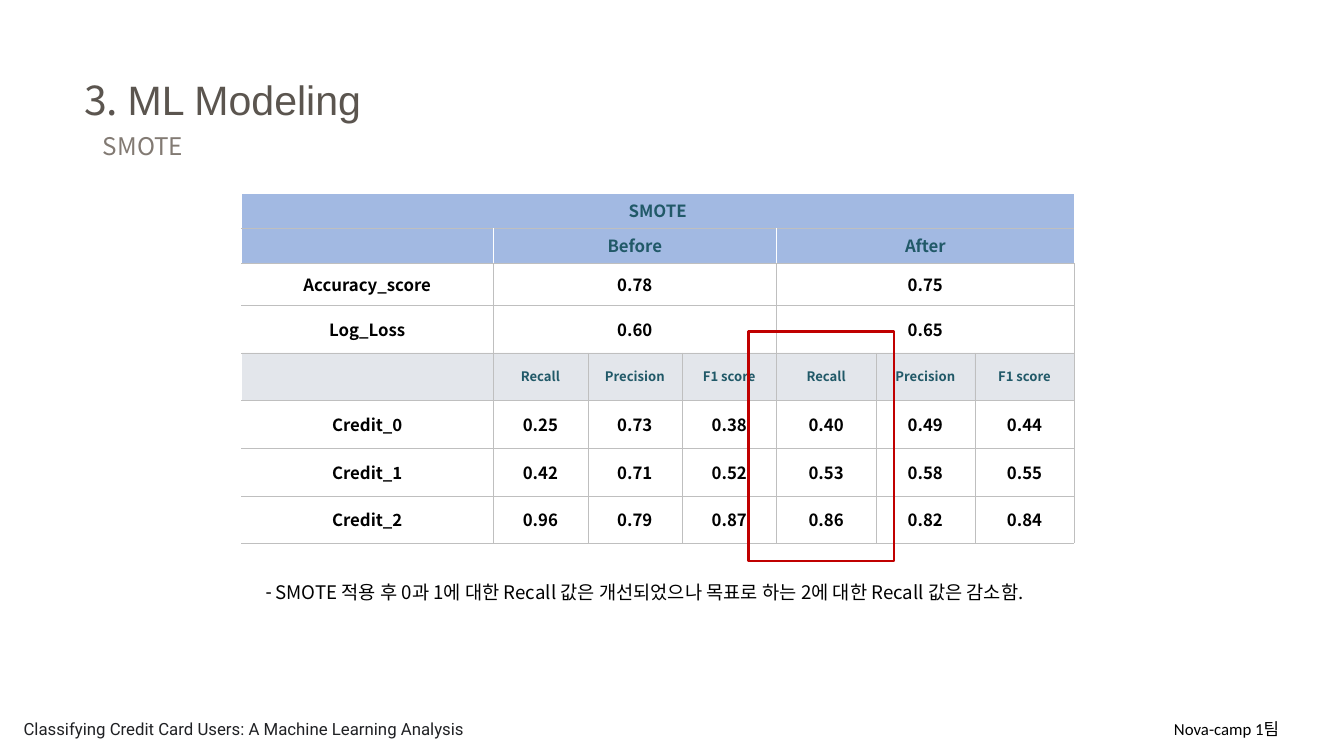
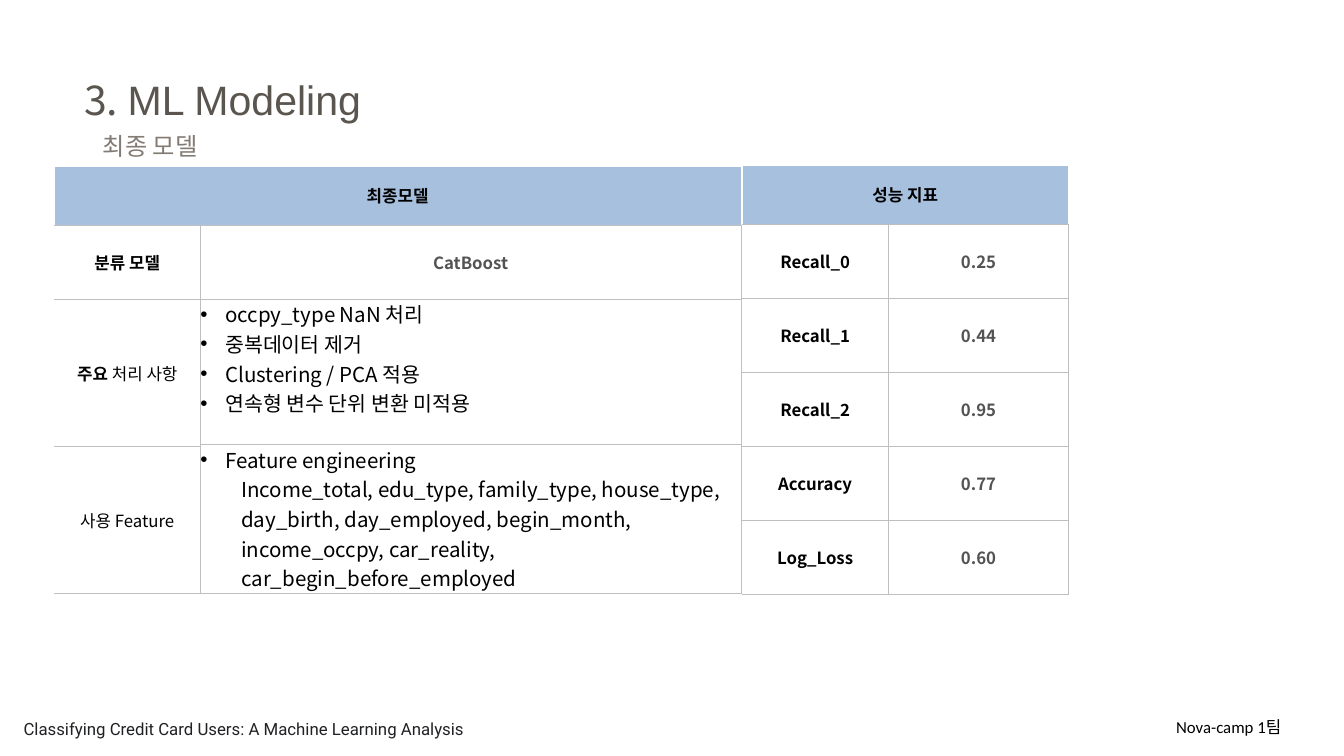
from dataclasses import dataclass

from lxml.etree import SubElement
from pptx import Presentation
from pptx.dml.color import RGBColor
from pptx.enum.shapes import MSO_SHAPE as Preset
from pptx.enum.text import MSO_ANCHOR as Anchor, PP_ALIGN as Align
from pptx.oxml.ns import qn
from pptx.util import Cm, Pt


@dataclass(frozen=True)
class Theme:
    title: str = "5B554F"
    subtitle: str = "827A73"
    footer: str = "202124"
    ink: str = "000000"
    value: str = "535353"
    teal: str = "215968"
    white: str = "FFFFFF"
    grid: str = "BFBFBF"
    score_head: str = "A2B9E2"
    model_head: str = "A7C0DE"
    metric_head: str = "8A96AA"
    highlight: str = "C00000"
    font: str = "Noto Sans CJK KR"
    title_font: str = "Arial"
    footer_font: str = "Roboto"
    team_font: str = "Calibri"
    title_size: int = 44
    subtitle_size: int = 26
    list_size: int = 22
    note_size: int = 20
    body_size: int = 18
    small_size: int = 14
    tint: int = 23


THEME = Theme()


def add_run(paragraph, text, size=THEME.body_size, color=THEME.ink, font=THEME.font, bold=False):
    run = paragraph.add_run()
    run.text = text
    run.font.size = Pt(size)
    run.font.name = font
    run.font.bold = bold
    run.font.color.rgb = RGBColor.from_string(color)
    SubElement(run._r.get_or_add_rPr(), qn("a:ea"), typeface=font)


def set_indent(paragraph, margin, hanging=0, bullet=None):
    properties = paragraph._p.get_or_add_pPr()
    properties.set("marL", str(Cm(margin)))
    properties.set("indent", str(-Cm(hanging)))
    if bullet:
        SubElement(properties, qn("a:buFont"), typeface="Arial")
        SubElement(properties, qn("a:buChar"), char=bullet)


def add_text(slide, left, top, width, height, align=Align.LEFT):
    frame = slide.shapes.add_textbox(Cm(left), Cm(top), Cm(width), Cm(height)).text_frame
    frame.word_wrap = True
    frame.margin_left = frame.margin_right = Cm(0.13)
    frame.margin_top = frame.margin_bottom = Cm(0.13)
    paragraph = frame.paragraphs[0]
    paragraph.alignment = align
    return paragraph


def add_heading(slide, subtitle, left=3.05, top=2.67):
    paragraph = add_text(slide, left, top, 21.82, 2)
    add_run(paragraph, "3. ", THEME.title_size, THEME.title)
    add_run(paragraph, "ML Modeling", THEME.title_size, THEME.title, THEME.title_font)
    paragraph = add_text(slide, left + 0.71, top + 2.18, 12.22, 1.35)
    add_run(paragraph, subtitle, THEME.subtitle_size, THEME.subtitle)


def add_footer(slide, team_left, team_top, left=0.76, top=27.05):
    paragraph = add_text(slide, left, top, 23.16, 1.04)
    add_run(paragraph, "Classifying Credit Card Users: A Machine Learning Analysis",
            color=THEME.footer, font=THEME.footer_font)
    paragraph = add_text(slide, team_left, team_top, 23.16, 1, Align.RIGHT)
    add_run(paragraph, "Nova-camp 1", font=THEME.team_font)
    add_run(paragraph, "팀", font=THEME.footer_font)


def set_border(cell, sides):
    properties = cell._tc.get_or_add_tcPr()
    for position, (side, (color, width)) in enumerate(sides.items()):
        line = properties.makeelement(qn(f"a:ln{side}"), {"w": str(Pt(width))})
        fill = SubElement(line, qn("a:solidFill"))
        SubElement(fill, qn("a:srgbClr"), val=color)
        properties.insert(position, line)


def fill_cell(cell, color, opacity=100):
    cell.fill.solid()
    cell.fill.fore_color.rgb = RGBColor.from_string(color)
    if opacity < 100:
        shade = cell._tc.tcPr.find(qn("a:solidFill")).find(qn("a:srgbClr"))
        SubElement(shade, qn("a:alpha"), val=str(opacity * 1000))


def add_grid(slide, left, top, columns, rows, head_color, head_rows=1, merges=()):
    frame = slide.shapes.add_table(len(rows), len(columns), Cm(left), Cm(top),
                                   Cm(sum(columns)), Cm(sum(rows)))
    table = frame.table
    table.first_row = table.horz_banding = False
    for column, width in zip(table.columns, columns):
        column.width = Cm(width)
    for row, height in zip(table.rows, rows):
        row.height = Cm(height)
    grey, white = (THEME.grid, 0.25), (THEME.white, 0.5)
    for row in range(len(rows)):
        is_head = row < head_rows
        for column in range(len(columns)):
            cell = table.cell(row, column)
            cell.margin_left = cell.margin_right = 0
            cell.margin_top = cell.margin_bottom = 0
            cell.vertical_anchor = Anchor.MIDDLE
            fill_cell(cell, head_color if is_head else THEME.white, 100 if is_head else THEME.tint)
            set_border(cell, {
                "L": white if is_head or column == 0 else grey,
                "R": white if is_head else grey,
                "T": grey if row else white,
                "B": grey,
            })
    for first_row, first_column, last_row, last_column in merges:
        table.cell(first_row, first_column).merge(table.cell(last_row, last_column))
    return table


def write_cell(cell, text, heading=False, bold=True, **style):
    paragraph = cell.text_frame.paragraphs[0]
    paragraph.alignment = Align.CENTER
    if heading:
        paragraph.line_spacing = 0.9
        paragraph.space_before = Pt(4)
    add_run(paragraph, text, bold=bold, **style)
    return paragraph


def add_score_table(slide, left, top):
    pair_starts = (1, 4)
    merges = [(0, 0, 0, 6)] + [(row, start, row, start + 2)
                               for row in (1, 2, 3) for start in pair_starts]
    table = add_grid(slide, left, top, [9.52] + [3.57] * 3 + [3.75] * 3,
                     [1.3, 1.32, 1.6] + [1.8] * 5, THEME.score_head, 2, merges)
    write_cell(table.cell(0, 0), "SMOTE", True, color=THEME.teal)
    for start, name in zip(pair_starts, ("Before", "After")):
        write_cell(table.cell(1, start), name, True, color=THEME.teal)

    overall = (("Accuracy_score", "0.78", "0.75"), ("Log_Loss", "0.60", "0.65"))
    for row, texts in enumerate(overall, 2):
        for column, text in zip((0, *pair_starts), texts):
            write_cell(table.cell(row, column), text)

    for column in range(7):
        fill_cell(table.cell(4, column), THEME.metric_head, THEME.tint)
    for column, metric in enumerate(("Recall", "Precision", "F1 score") * 2, 1):
        write_cell(table.cell(4, column), metric, True, size=THEME.small_size, color=THEME.teal)

    by_class = (
        ("Credit_0", "0.25", "0.73", "0.38", "0.40", "0.49", "0.44"),
        ("Credit_1", "0.42", "0.71", "0.52", "0.53", "0.58", "0.55"),
        ("Credit_2", "0.96", "0.79", "0.87", "0.86", "0.82", "0.84"),
    )
    for row, texts in enumerate(by_class, 5):
        for column, text in enumerate(texts):
            write_cell(table.cell(row, column), text)


def add_note(slide, left, top):
    paragraph = add_text(slide, left, top, 29.9, 1.07)
    set_indent(paragraph, 0.38, 0.38, "-")
    add_run(paragraph, "SMOTE 적용 후 0과 1에 대한 Recall 값은 개선되었으나 "
            "목표로 하는 2에 대한 Recall 값은 감소함.", THEME.note_size)


def add_highlight(slide, left, top, width, height):
    shape = slide.shapes.add_shape(Preset.RECTANGLE, Cm(left), Cm(top), Cm(width), Cm(height))
    shape.shadow.inherit = False
    shape.fill.background()
    shape.line.color.rgb = RGBColor.from_string(THEME.highlight)
    shape.line.width = Pt(3)


def write_list(cell, bullets, details=()):
    cell.vertical_anchor = Anchor.TOP
    frame = cell.text_frame
    for index, text in enumerate((*bullets, *details)):
        paragraph = frame.add_paragraph() if index else frame.paragraphs[0]
        if index < len(bullets):
            set_indent(paragraph, 0.95, 0.95, "•")
        else:
            set_indent(paragraph, 1.55)
        add_run(paragraph, text, THEME.list_size)


def add_model_table(slide, left, top):
    table = add_grid(slide, left, top, [5.52, 20.44], [2.21, 2.81, 5.49, 0.08, 5.56],
                     THEME.model_head, merges=[(0, 0, 0, 1), (2, 0, 3, 0), (3, 1, 4, 1)])
    write_cell(table.cell(0, 0), "최종모델", True)
    write_cell(table.cell(1, 0), "분류 모델")
    write_cell(table.cell(1, 1), "CatBoost", color=THEME.value)
    add_run(write_cell(table.cell(2, 0), "주요 "), "처리 사항")
    write_cell(table.cell(4, 0), "사용 Feature", bold=False)
    write_list(table.cell(2, 1), ("occpy_type NaN 처리", "중복데이터 제거",
                                  "Clustering / PCA 적용", "연속형 변수 단위 변환 미적용"))
    write_list(table.cell(3, 1), ("Feature engineering",), (
        "Income_total, edu_type, family_type, house_type,",
        "day_birth, day_employed, begin_month,",
        "income_occpy, car_reality,",
        "car_begin_before_employed",
    ))


def add_metric_table(slide, left, top):
    metrics = (("Recall_0", "0.25"), ("Recall_1", "0.44"), ("Recall_2", "0.95"),
               ("Accuracy", "0.77"), ("Log_Loss", "0.60"))
    table = add_grid(slide, left, top, [5.54, 6.81], [2.21] + [2.8] * len(metrics),
                     THEME.model_head, merges=[(0, 0, 0, 1)])
    write_cell(table.cell(0, 0), "성능 지표")
    for row, (name, value) in enumerate(metrics, 1):
        write_cell(table.cell(row, 0), name)
        write_cell(table.cell(row, 1), value, color=THEME.value)


def build_smote_slide(slide):
    add_heading(slide, "SMOTE")
    add_footer(slide, 25.32, 27.05)
    add_score_table(slide, 9.12, 7.32)
    add_note(slide, 9.91, 21.84)
    add_highlight(slide, 28.3, 12.52, 5.49, 8.69)


def build_final_model_slide(slide):
    add_heading(slide, "최종 모델")
    add_footer(slide, 25.4, 26.95)
    add_model_table(slide, 2.05, 6.29)
    add_metric_table(slide, 28.04, 6.25)


def main():
    presentation = Presentation()
    presentation.slide_width, presentation.slide_height = Cm(50.8), Cm(28.58)
    for build in (build_smote_slide, build_final_model_slide):
        build(presentation.slides.add_slide(presentation.slide_layouts[6]))
    presentation.save("out.pptx")


if __name__ == "__main__":
    main()
